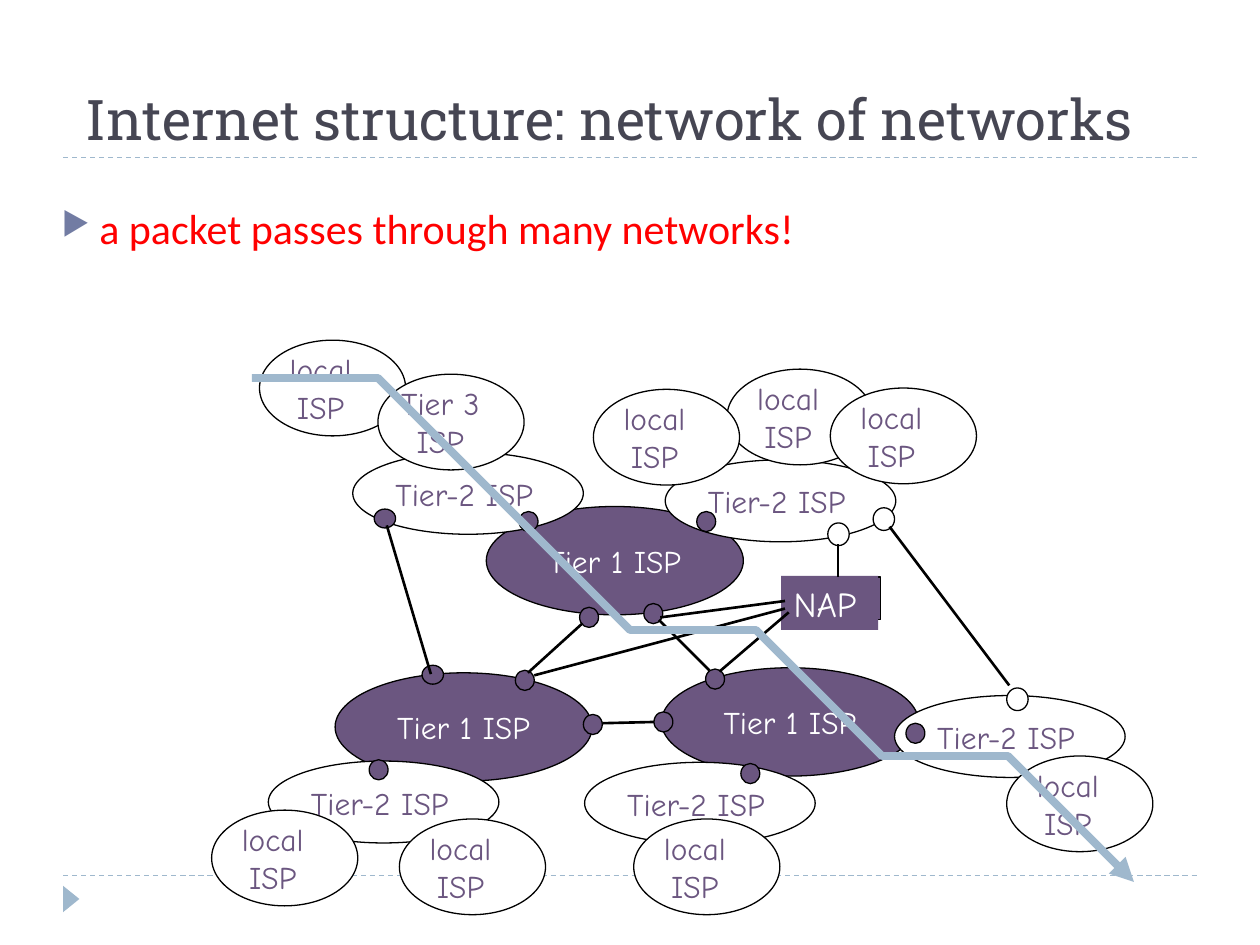
"""Build a slide showing a packet's path through tiered internet providers."""
from lxml import etree
from pptx import Presentation
from pptx.dml.color import RGBColor
from pptx.enum.dml import MSO_LINE
from pptx.enum.shapes import MSO_CONNECTOR, MSO_SHAPE
from pptx.enum.text import MSO_ANCHOR, PP_ALIGN
from pptx.oxml.ns import qn
from pptx.util import Inches, Pt

STRAIGHT = MSO_CONNECTOR.STRAIGHT
DASH = MSO_LINE.DASH
OVAL, RECTANGLE, TRIANGLE = MSO_SHAPE.OVAL, MSO_SHAPE.RECTANGLE, MSO_SHAPE.ISOSCELES_TRIANGLE
TOP, MIDDLE, BOTTOM = MSO_ANCHOR.TOP, MSO_ANCHOR.MIDDLE, MSO_ANCHOR.BOTTOM
LEFT, CENTER = PP_ALIGN.LEFT, PP_ALIGN.CENTER

PURPLE = RGBColor(0x6B, 0x56, 0x80)
WHITE = RGBColor(0xFF, 0xFF, 0xFF)
BLACK = RGBColor(0, 0, 0)
RED = RGBColor(0xFF, 0, 0)
SLATE = RGBColor(0x46, 0x46, 0x53)
PALE_BLUE = RGBColor(0x9F, 0xB8, 0xCD)
BULLET_COLOR = "727CA3"
TITLE_FONT, BODY_FONT, LABEL_FONT = "Roboto Slab", "Calibri", "Comic Neue"

TITLE = "Internet structure: network of networks"
MESSAGE = "a packet passes through many networks!"
RULE_TOPS = [6.95, 1.25]

TIER1_SIZE, TIER2_SIZE, LOCAL_SIZE = (2.04, 0.86), (1.83, 0.65), (1.16, 0.76)
DOT_SIZE, WIDE_DOT_SIZE, RING_SIZE = (0.15, 0.16), (0.17, 0.15), (0.17, 0.18)

TIER1 = [(2.66, 5.34), (3.86, 4.02), (5.25, 5.3)]
TIER1_DOTS = [(5.6, 5.31), (5.11, 4.79), (4.6, 4.82), (4.09, 5.32), (4.63, 5.67), (5.19, 5.65)]
TIER1_LINKS = [(4.78, 5.74, 5.19, 5.73), (5.23, 4.92, 5.63, 5.32), (4.19, 5.34, 4.62, 4.95)]
NAP_LINKS = [(6.26, 4.86, 5.71, 5.33), (6.23, 4.77, 5.24, 4.9), (6.23, 4.83, 4.24, 5.36)]
TIER2 = [(5.28, 3.65), (2.8, 3.59), (2.13, 6.04), (4.64, 6.05), (7.1, 5.52)]
TIER2_DOTS = [(5.53, 4.06), (4.12, 4.06), (2.93, 6.03), (5.88, 6.06), (7.19, 5.74)]
WEST_DOTS = [(2.97, 4.04), (3.35, 5.28)]
WEST_LINK = (3.07, 4.17, 3.42, 5.35)
RINGS = [(6.93, 4.03), (7.99, 5.46), (6.57, 4.15)]
EAST_LINK = (7.06, 4.18, 8.01, 5.44)
NAP_STEM = (6.65, 4.32, 6.65, 4.58)
LOCALS = [
    ("local", 5.77, 2.93), ("local", 4.71, 3.09), ("local", 6.59, 3.08),
    ("local", 1.68, 6.43), ("local", 2.06, 2.7), ("Tier 3", 3, 2.97),
    ("local", 3.17, 6.5), ("local", 5.03, 6.5), ("local", 7.99, 6),
]
LABEL_PLACES = {"local": (0.12, 0.73), "Tier 3": (0.03, 0.93)}
ROUTE = [
    (2.06, 2.71), (3.04, 3.17), (3.65, 3.74), (4.19, 4.17), (5.17, 4.88),
    (5.69, 5.42), (7.28, 5.83), (8.36, 6.03), (9.07, 6.6), (9.33, 6.67),
]


def write(box, lines, font, size, color, align=LEFT, anchor=TOP, wrap=False):
    frame = box.text_frame
    frame.word_wrap = wrap
    frame.vertical_anchor = anchor
    frame.text = "\n".join(lines)
    for para in frame.paragraphs:
        para.alignment = align
        para.font.name = font
        para.font.size = Pt(size)
        para.font.color.rgb = color


def add_text(page, place, size, lines, *style, **options):
    box = page.shapes.add_textbox(*map(Inches, (*place, *size)))
    write(box, lines, *style, **options)
    return box


def add_figure(page, kind, place, size, fill, outline=BLACK):
    shape = page.shapes.add_shape(kind, *map(Inches, (*place, *size)))
    shape.shadow.inherit = False
    shape.fill.solid()
    shape.fill.fore_color.rgb = fill
    if outline is None:
        shape.line.fill.background()
    else:
        shape.line.color.rgb = outline
        shape.line.width = Pt(0.75)
    return shape


def add_ovals(page, places, size, fill):
    return [add_figure(page, OVAL, place, size, fill) for place in places]


def add_link(page, ends, width=1.5, color=BLACK):
    link = page.shapes.add_connector(STRAIGHT, *map(Inches, ends))
    link.line.color.rgb = color
    link.line.width = Pt(width)
    etree.SubElement(link._element.spPr, qn("a:effectLst"))
    return link


def add_frame(page):
    for top in RULE_TOPS:
        add_link(page, (0.5, top, 9.5, top), 0.75, PALE_BLUE).line.dash_style = DASH
    marker = add_figure(page, TRIANGLE, (0.46, 7.07), (0.21, 0.13), PALE_BLUE, None)
    marker.rotation = 90
    add_text(page, (0.58, 0.42), (8.85, 0.83), [TITLE], TITLE_FONT, 32, SLATE,
             anchor=BOTTOM, wrap=True)
    body = add_text(page, (0.39, 1.56), (9.23, 1), [MESSAGE], BODY_FONT, 24, RED, wrap=True)
    properties = body.text_frame.paragraphs[0]._p.get_or_add_pPr()
    properties.set("marL", str(Inches(0.3)))
    properties.set("indent", str(-Inches(0.3)))
    color = etree.Element(qn("a:buClr"))
    etree.SubElement(color, qn("a:srgbClr"), val=BULLET_COLOR)
    size = etree.Element(qn("a:buSzPct"), val="76000")
    mark = etree.Element(qn("a:buChar"), char="▶")
    for position, element in enumerate((color, size, mark)):
        properties.insert(position, element)


def add_core(page):
    for oval in add_ovals(page, TIER1, TIER1_SIZE, PURPLE):
        write(oval, ["Tier 1 ISP"], LABEL_FONT, 18, WHITE, CENTER, MIDDLE)
    add_ovals(page, TIER1_DOTS, DOT_SIZE, PURPLE)
    for ends in TIER1_LINKS:
        add_link(page, ends)
    add_figure(page, RECTANGLE, (6.23, 4.58), (0.76, 0.34), PURPLE)
    nap = add_figure(page, RECTANGLE, (6.2, 4.57), (0.77, 0.43), PURPLE, None)
    write(nap, ["NAP"], LABEL_FONT, 20, WHITE)
    for ends in NAP_LINKS:
        add_link(page, ends)


def add_edge(page):
    for left, top in TIER2:
        add_figure(page, OVAL, (left, top), TIER2_SIZE, WHITE)
        add_text(page, (left + 0.24, top + 0.13), (1.47, 0.4), ["Tier-2 ISP"],
                 LABEL_FONT, 18, PURPLE)
    add_ovals(page, TIER2_DOTS, DOT_SIZE, PURPLE)
    add_ovals(page, WEST_DOTS, WIDE_DOT_SIZE, PURPLE)
    add_link(page, WEST_LINK)
    add_ovals(page, RINGS, RING_SIZE, WHITE)
    add_link(page, EAST_LINK)
    add_link(page, NAP_STEM, 0.75)
    for name, left, top in LOCALS:
        add_figure(page, OVAL, (left, top), LOCAL_SIZE, WHITE)
        shift, width = LABEL_PLACES[name]
        add_text(page, (left + shift, top + 0.03), (width, 0.7), [name, "ISP"],
                 LABEL_FONT, 18, PURPLE, align=CENTER)


def add_route(page):
    builder = page.shapes.build_freeform(*ROUTE[0], scale=Inches(1))
    builder.add_line_segments(ROUTE[1:], close=False)
    route = builder.convert_to_shape()
    route.shadow.inherit = False
    route.fill.background()
    route.line.color.rgb = PALE_BLUE
    route.line.width = Pt(4.5)
    etree.SubElement(route.line._get_or_add_ln(), qn("a:tailEnd"), type="triangle")


def main():
    deck = Presentation()
    deck.slide_width, deck.slide_height = Inches(10), Inches(7.5)
    page = deck.slides.add_slide(deck.slide_layouts[6])
    for add_part in (add_frame, add_core, add_edge, add_route):
        add_part(page)
    deck.save("out.pptx")


if __name__ == "__main__":
    main()
